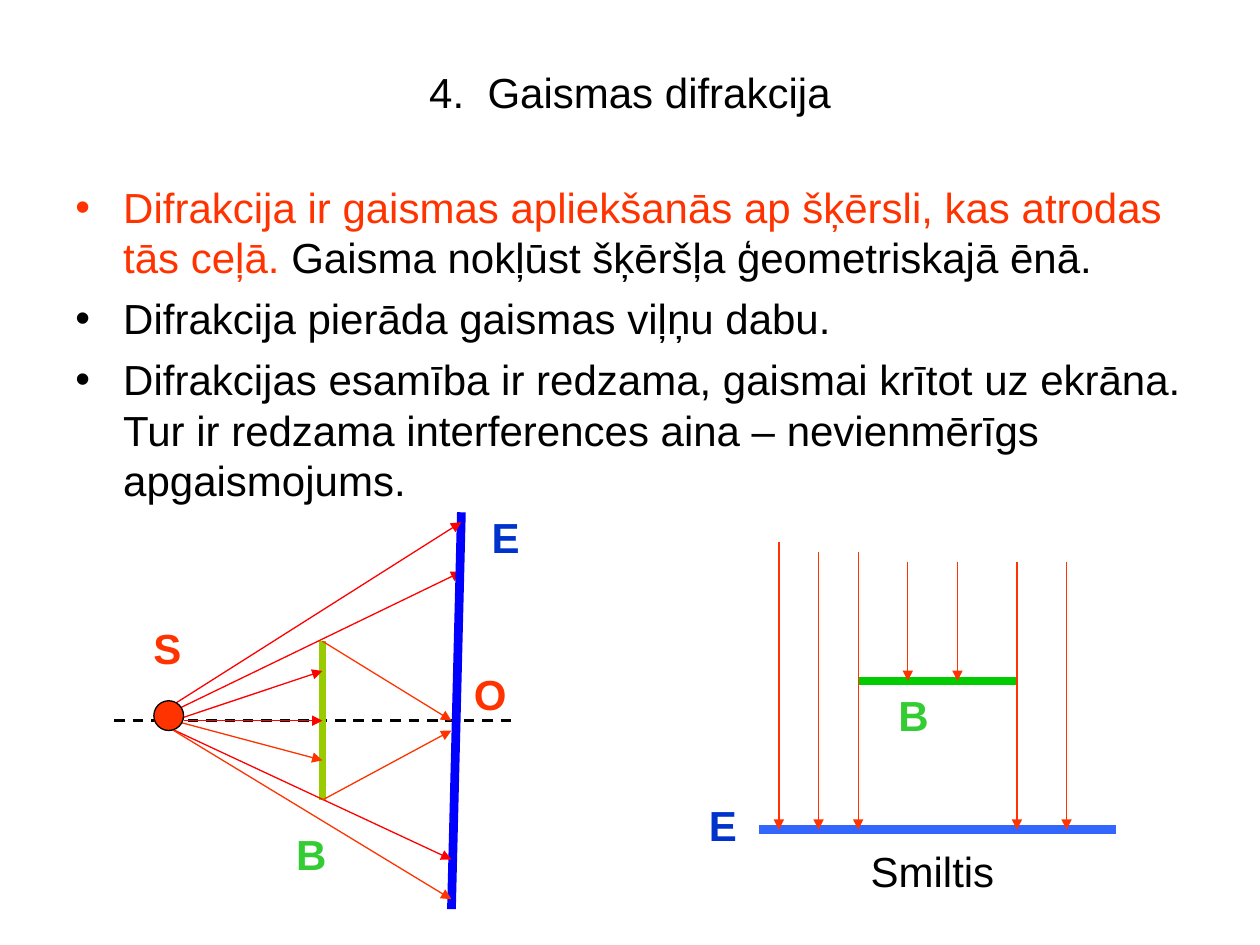
from typing import NamedTuple

from lxml import etree
from pptx import Presentation
from pptx.dml.color import RGBColor
from pptx.enum.dml import MSO_LINE
from pptx.enum.shapes import MSO_CONNECTOR, MSO_SHAPE
from pptx.enum.text import MSO_ANCHOR, MSO_AUTO_SIZE, PP_ALIGN
from pptx.oxml.ns import qn
from pptx.util import Inches, Pt

STRAIGHT = MSO_CONNECTOR.STRAIGHT
OVAL = MSO_SHAPE.OVAL
DASH = MSO_LINE.DASH
MIDDLE, TOP = MSO_ANCHOR.MIDDLE, MSO_ANCHOR.TOP
CENTER, LEFT = PP_ALIGN.CENTER, PP_ALIGN.LEFT
NO_AUTOSIZE = MSO_AUTO_SIZE.NONE

WIDTH, HEIGHT = 10, 7.5
CELL = 1 / 12.7
ORIGIN_X, ORIGIN_Y = 0.04, 0.05
LABEL_ROWS = 6.4
INDENT = 0.38

BLACK, WHITE = "000000", "FFFFFF"
RED, ORANGE = "FF0000", "FF3300"
BLUE, GREEN = "0033CC", "33CC33"


class Line(NamedTuple):
    start: tuple[int, int]
    end: tuple[int, int]
    color: str
    weight: float = 0.75
    arrow: bool = False
    dashed: bool = False


class Label(NamedTuple):
    text: str
    column: float
    row: float
    columns: float
    color: str
    bold: bool = True
    wrap: bool = False
    outline: str | None = None


def ray(start: tuple[int, int], end: tuple[int, int], color: str = ORANGE) -> Line:
    return Line(start, end, color, arrow=True)


SCREEN_ROW, BARRIER_ROW = 83, 68
LINES = [
    Line((11, 72), (51, 72), BLACK, 1.5, dashed=True),
    Line((32, 64), (32, 80), "99CC00", 4),
    ray((15, 72), (46, 57), RED),
    Line((46, 51), (45, 91), "0000FF", 5),
    ray((15, 72), (45, 86), RED),
    ray((16, 71), (46, 52), RED),
    ray((17, 73), (45, 90)),
    ray((17, 72), (32, 67), RED),
    ray((17, 72), (32, 76)),
    ray((18, 72), (32, 72), RED),
    ray((32, 64), (45, 72)),
    ray((32, 80), (45, 73)),
    Line((76, SCREEN_ROW), (112, SCREEN_ROW), "3366FF", 5),
    Line((86, BARRIER_ROW), (102, BARRIER_ROW), "00CC00", 5),
]
FALLING_RAYS = [
    (82, 55, SCREEN_ROW), (78, 54, SCREEN_ROW), (86, 55, SCREEN_ROW),
    (102, 56, SCREEN_ROW), (107, 56, SCREEN_ROW),
    (91, 56, BARRIER_ROW), (96, 56, BARRIER_ROW),
]
LINES += [ray((column, top), (column, bottom)) for column, top, bottom in FALLING_RAYS]

LABELS = [
    Label("S", 13.7, 61.5, 5.5, ORANGE, wrap=True, outline=WHITE),
    Label("B", 28.1, 82.3, 5.6, GREEN),
    Label("E", 47.8, 50.3, 5.3, BLUE),
    Label("Smiltis", 86, 84, 15, BLACK, bold=False),
    Label("B", 88.8, 68.2, 5.6, GREEN),
    Label("E", 69.7, 79.3, 5.3, BLUE),
    Label("O", 46, 66.1, 6.2, ORANGE, wrap=True),
]

BULLETS = [
    [("Difrakcija ir gaismas apliekšanās ap šķērsli, kas atrodas tās ceļā.", ORANGE),
     (" Gaisma nokļūst šķēršļa ģeometriskajā ēnā.", BLACK)],
    [("Difrakcija pierāda gaismas viļņu dabu.", BLACK)],
    [("Difrakcijas esamība ir redzama, gaismai krītot uz ekrāna. Tur ir redzama "
      "interferences aina – nevienmērīgs apgaismojums.", BLACK)],
]


def x_at(column: float) -> int:
    return Inches(ORIGIN_X + column * CELL)


def y_at(row: float) -> int:
    return Inches(ORIGIN_Y + row * CELL)


def cells(count: float) -> int:
    return Inches(count * CELL)


def paint(color_format, color: str) -> None:
    color_format.rgb = RGBColor.from_string(color)


def apply_format(target, values: dict) -> None:
    for name, value in values.items():
        setattr(target, name, value)


def add_run(paragraph, text: str, color: str, bold: bool = False) -> None:
    run = paragraph.add_run()
    run.text = text
    apply_format(run.font, {"name": "Arial", "size": Pt(24), "bold": bold})
    paint(run.font.color, color)


def draw_line(slide, line: Line) -> None:
    (left, top), (right, bottom) = line.start, line.end
    connector = slide.shapes.add_connector(
        STRAIGHT, x_at(left), y_at(top), x_at(right), y_at(bottom))
    paint(connector.line.color, line.color)
    connector.line.width = Pt(line.weight)
    if line.dashed:
        connector.line.dash_style = DASH
    properties = connector._element.spPr
    if line.arrow:
        etree.SubElement(properties.find(qn("a:ln")), qn("a:tailEnd"), type="triangle")
    etree.SubElement(properties, qn("a:effectLst"))


def draw_source(slide) -> None:
    source = slide.shapes.add_shape(OVAL, x_at(15), y_at(70), cells(3), cells(3))
    source.shadow.inherit = False
    source.fill.solid()
    paint(source.fill.fore_color, ORANGE)
    paint(source.line.color, BLACK)
    source.line.width = Pt(0.75)


def draw_label(slide, label: Label) -> None:
    box = slide.shapes.add_textbox(
        x_at(label.column), y_at(label.row), cells(label.columns), cells(LABEL_ROWS))
    box.text_frame.word_wrap = label.wrap
    if label.outline:
        paint(box.line.color, label.outline)
        box.line.width = Pt(0.75)
    add_run(box.text_frame.paragraphs[0], label.text, label.color, label.bold)


def write_title(slide) -> None:
    title = slide.shapes.title
    apply_format(title, {
        "left": Inches(WIDTH * 0.05), "top": Inches(HEIGHT * 0.04),
        "width": Inches(WIDTH * 0.9), "height": Inches(0.85)})
    apply_format(title.text_frame, {
        "vertical_anchor": MIDDLE, "word_wrap": True, "auto_size": NO_AUTOSIZE})
    paragraph = title.text_frame.paragraphs[0]
    paragraph.alignment = CENTER
    add_run(paragraph, "4.  Gaismas difrakcija", BLACK)


def write_bullets(slide) -> None:
    body = slide.shapes.add_textbox(
        Inches(WIDTH * 0.05), Inches(1.39), Inches(WIDTH * 0.9), Inches(5.91))
    frame = body.text_frame
    apply_format(frame, {
        "vertical_anchor": TOP, "word_wrap": True, "auto_size": NO_AUTOSIZE})
    for index, runs in enumerate(BULLETS):
        paragraph = frame.add_paragraph() if index else frame.paragraphs[0]
        apply_format(paragraph, {
            "alignment": LEFT, "space_before": Pt(6 if index else 0)})
        properties = paragraph._p.get_or_add_pPr()
        properties.set("marL", str(Inches(INDENT)))
        properties.set("indent", str(-Inches(INDENT)))
        color = etree.SubElement(properties, qn("a:buClr"))
        etree.SubElement(color, qn("a:srgbClr"), val=runs[0][1])
        etree.SubElement(properties, qn("a:buFont"), typeface="Arial")
        etree.SubElement(properties, qn("a:buChar"), char="•")
        for text, run_color in runs:
            add_run(paragraph, text, run_color)


def main() -> None:
    presentation = Presentation()
    presentation.slide_width = Inches(WIDTH)
    presentation.slide_height = Inches(HEIGHT)
    slide = presentation.slides.add_slide(presentation.slide_layouts[5])
    write_title(slide)
    write_bullets(slide)
    for line in LINES:
        draw_line(slide, line)
    draw_source(slide)
    for label in LABELS:
        draw_label(slide, label)
    presentation.save("out.pptx")


if __name__ == "__main__":
    main()
